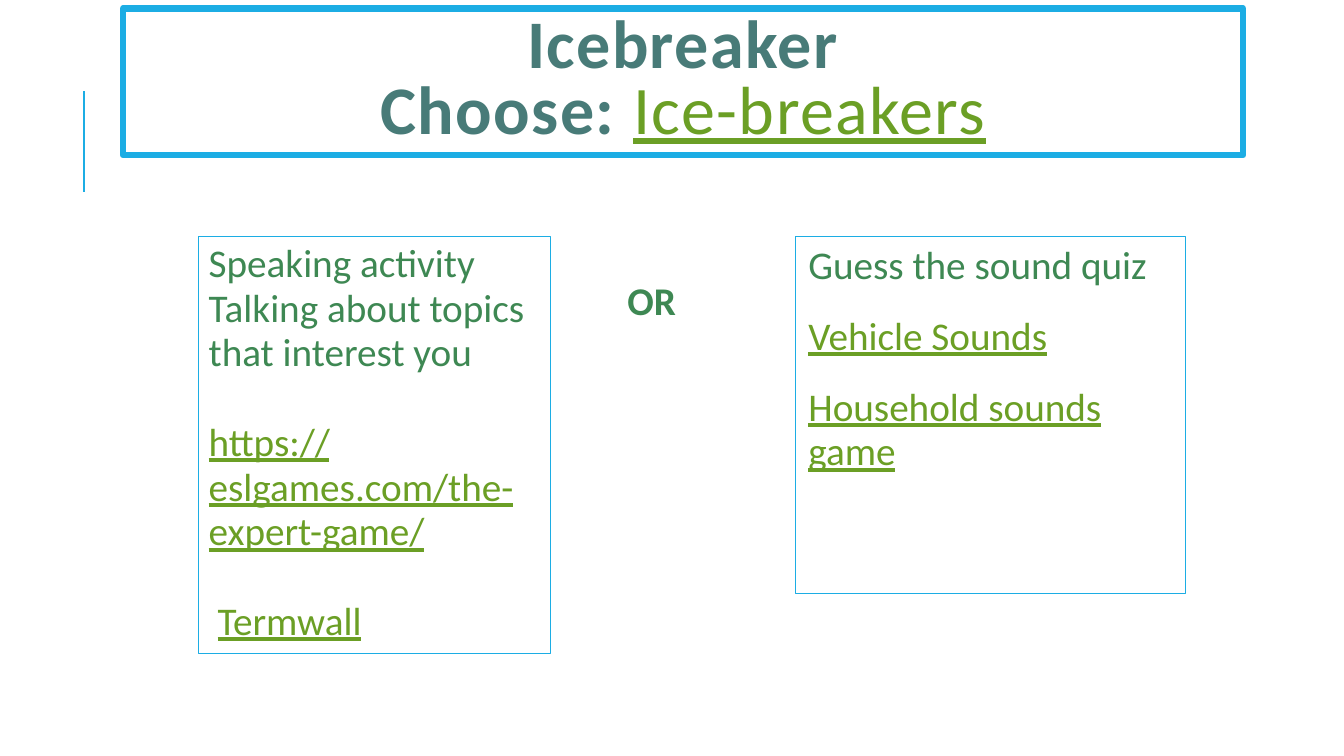
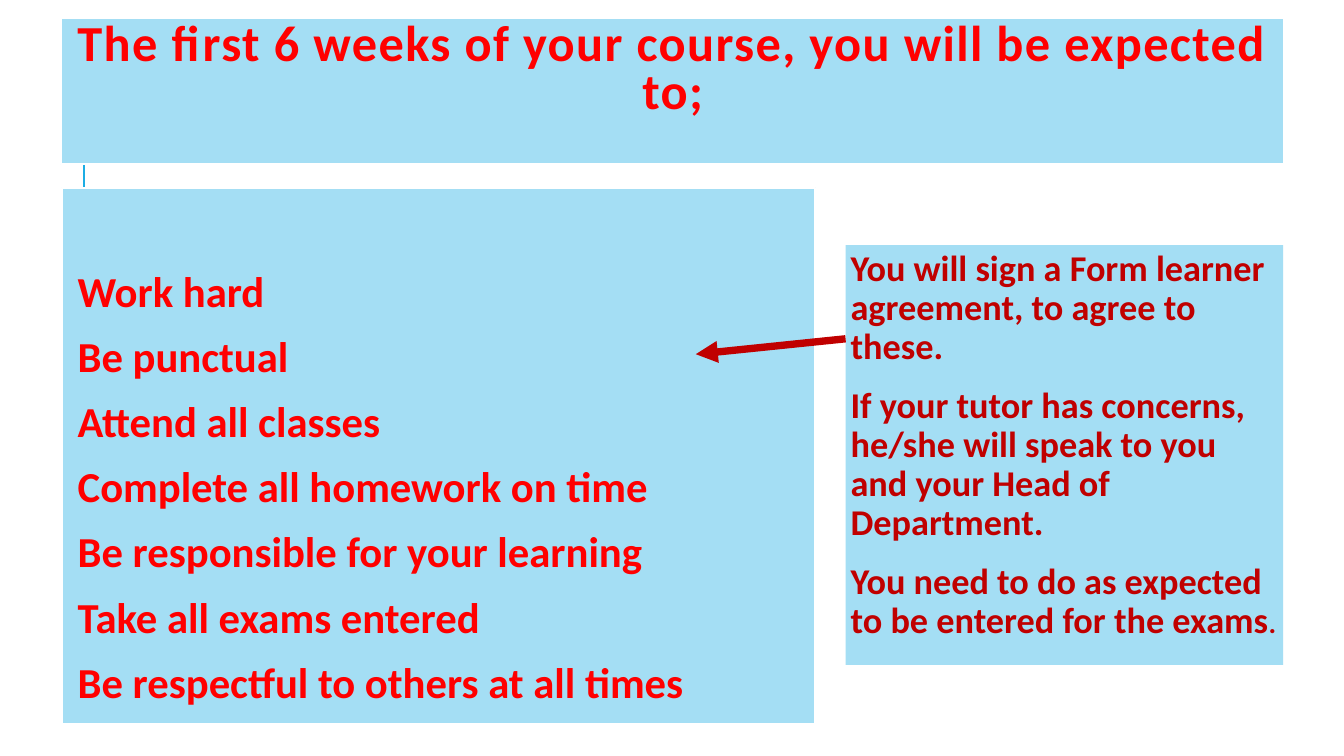
"""Builds two course induction slides: an icebreaker choice and the course expectations."""
from pptx import Presentation
from pptx.dml.color import RGBColor
from pptx.enum.shapes import MSO_CONNECTOR as Connector, MSO_SHAPE as Shape
from pptx.enum.text import MSO_ANCHOR as Anchor, PP_ALIGN as Align
from pptx.oxml.ns import qn
from pptx.util import Pt
from lxml.etree import SubElement

BLUE, PALE, WHITE = "1CADE4", "A4DEF4", "FFFFFF"
TEAL, GREEN, LINK = "487B78", "3E8853", "6B9F25"
RED, DARK_RED = "FF0000", "C00000"
BREAK = "\v"


def colour(value):
    return RGBColor.from_string(value)


class Deck:
    font = "Calibri"

    def __init__(self):
        self.deck = Presentation()
        self.deck.slide_width, self.deck.slide_height = Pt(960), Pt(540)
        self.page = None

    def new_page(self):
        self.page = self.deck.slides.add_slide(self.deck.slide_layouts[6])
        self.line((60, 137), (60, 65), BLUE, 1.5)

    def line(self, start, end, ink, width, arrow=False):
        ends = [Pt(value) for value in (*start, *end)]
        line = self.page.shapes.add_connector(Connector.STRAIGHT, *ends)
        line.line.color.rgb = colour(ink)
        line.line.width = Pt(width)
        properties = line._element.spPr
        SubElement(properties, qn("a:effectLst"))
        if arrow:
            SubElement(properties.find(qn("a:ln")), qn("a:tailEnd"), type="triangle")

    def panel(self, area, fill=None, outline=None, width=0.75):
        box = self.page.shapes.add_shape(Shape.RECTANGLE, *map(Pt, area))
        box.shadow.inherit = False
        if fill:
            box.fill.solid()
            box.fill.fore_color.rgb = colour(fill)
        else:
            box.fill.background()
        if outline:
            box.line.color.rgb = colour(outline)
            box.line.width = Pt(width)
            SubElement(box._element.spPr.find(qn("a:ln")), qn("a:round"))
        else:
            box.line.fill.background()
        return box

    def label(self, area, paras, **style):
        box = self.page.shapes.add_textbox(*map(Pt, area))
        self.put_text(box, paras, wrap=False, **style)

    def title(self, area, spans, size, ink, anchor, fill=None, outline=BLUE, width=4.5):
        box = self.panel(area, fill, outline, width)
        self.put_text(box, [spans], size, ink, bold=True, leading=0.8, align=Align.CENTER,
                      anchor=anchor, tracking=1)

    def put_text(self, box, paras, size, ink, bold=False, leading=0.95, before=0, after=0,
                 align=Align.LEFT, anchor=Anchor.TOP, insets=(7.2, 3.6), tracking=0, wrap=True):
        frame = box.text_frame
        frame.word_wrap = wrap
        frame.vertical_anchor = anchor
        frame.margin_left = frame.margin_right = Pt(insets[0])
        frame.margin_top, frame.margin_bottom = Pt(insets[1]), Pt(3.6)
        for index, spans in enumerate(paras):
            para = frame.add_paragraph() if index else frame.paragraphs[0]
            para.alignment, para.line_spacing = align, leading
            para.space_before = Pt(before if index else 0)
            para.space_after = Pt(after)
            for span in [spans] if isinstance(spans, str) else spans:
                text, changes = (span, {}) if isinstance(span, str) else span
                if text == BREAK:
                    para.add_line_break()
                    continue
                run = para.add_run()
                run.text = text
                font = run.font
                font.name = self.font
                font.size = Pt(changes.get("size", size))
                font.bold = changes.get("bold", bold)
                font.underline = changes.get("underline", False)
                font.color.rgb = colour(changes.get("ink", ink))
                if tracking:
                    run._r.get_or_add_rPr().set("spc", str(tracking * 100))
        return frame.paragraphs


def link(text):
    return text, {"ink": LINK, "underline": True, "bold": False}


def icebreaker(deck):
    deck.new_page()
    deck.title((88, 6, 800, 105),
               ["Icebreaker", BREAK, "Choose: ", link("Ice-breakers")],
               48.6, TEAL, Anchor.MIDDLE)
    quiz = deck.panel((568, 169, 279, 255), outline=BLUE)
    deck.put_text(quiz, ["Guess the sound quiz", [link("Vehicle Sounds")],
                         [link("Household sounds game")]],
                  28, GREEN, before=18.7, insets=(9.4, 5))
    deck.label((441, 196.5, 52, 40), ["OR"], size=28, ink=GREEN, bold=True)
    speaking = deck.panel((142, 169, 251, 297.5), outline=BLUE)
    paras = deck.put_text(speaking,
                          ["Speaking activity", "Talking about topics that interest you",
                           [link("https://eslgames.com/the-expert-game/")],
                           [link("Termwall")]], 28, GREEN)
    for para in paras[2:]:
        para.space_before = Pt(32)
    paras[-1]._p.get_or_add_pPr().set("marL", str(Pt(6.3)))


def expectations(deck):
    deck.new_page()
    deck.title((43.5, 12.5, 874, 105),
               ["The first 6 weeks of your course, you will be expected to;"],
               36, RED, Anchor.TOP, PALE, WHITE, 1.5)
    duties = deck.panel((44, 134, 538.5, 383), PALE, WHITE, 1.5)
    deck.put_text(duties, ["Work hard", "Be punctual", "Attend all classes",
                           "Complete all homework on time", "Be responsible for your learning",
                           "Take all exams entered", "Be respectful to others at all times"],
                  30.5, RED, bold=True, leading=0.9, before=11.5, after=2, insets=(11.5, 59.5))
    agreement = deck.panel((604, 175, 312.5, 300), PALE)
    deck.put_text(agreement, ["You will sign a Form learner agreement, to agree to these.",
                              "If your tutor has concerns, he/she will speak to you and your "
                              "Head of Department.",
                              ["You need to do as expected to be entered for the exams",
                               (".", {"size": 20.3})]],
                  25.9, DARK_RED, bold=True, leading=0.9, before=12, after=2,
                  insets=(3.6, 3.6))
    deck.line((604, 242), (497, 253), DARK_RED, 5.25, arrow=True)


def main():
    deck = Deck()
    icebreaker(deck)
    expectations(deck)
    deck.deck.save("out.pptx")


if __name__ == "__main__":
    main()
